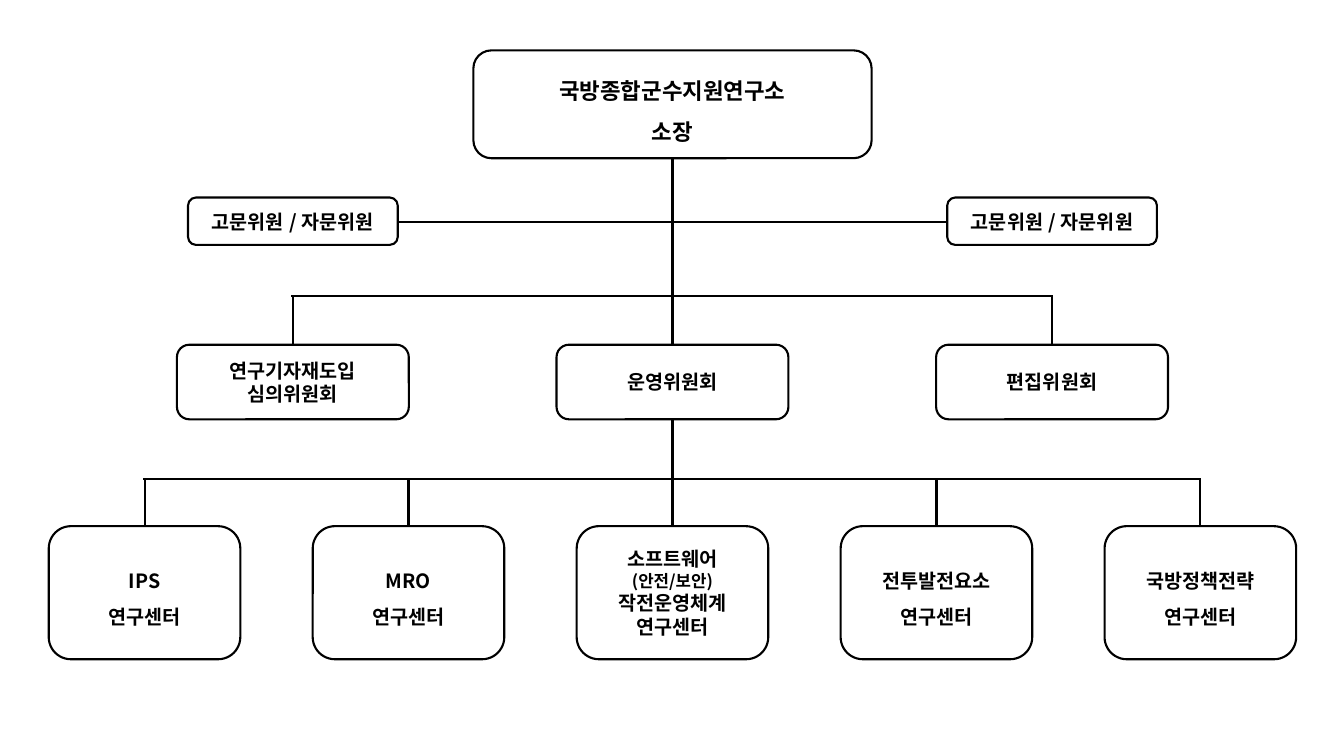
"""Build a one-slide organisation chart of a research institute."""
import copy

import lxml.etree
import pptx
import pptx.dml.color
import pptx.enum.lang
import pptx.enum.shapes
import pptx.enum.text
import pptx.oxml.ns
import pptx.util

COLORS = {"ink": "000000"}
FONT = "Noto Sans CJK KR"
CENTER = 6.67
COMMITTEE_GAP = 3.765
CENTER_GAP = 2.618


def write_text(paragraph, text, size=14, bold=True, color="ink"):
    for index, line in enumerate(text.split("\n")):
        if index:
            paragraph.add_line_break()
            paragraph._p[-1].append(copy.deepcopy(run._r.rPr))
        if not line:
            continue
        run = paragraph.add_run()
        run.text = line
        run.font.name = FONT
        run.font.size = pptx.util.Pt(size)
        run.font.bold = bold
        run.font.color.rgb = pptx.dml.color.RGBColor.from_string(COLORS[color])
        run.font.language_id = pptx.enum.lang.MSO_LANGUAGE_ID.KOREAN
        east_asian = lxml.etree.SubElement(run._r.rPr, pptx.oxml.ns.qn("a:ea"))
        east_asian.set("typeface", FONT)


class Chart:
    def __init__(self, slide, line_width=1.5):
        self.slide = slide
        self.line_width = line_width

    def style_line(self, line):
        line.color.rgb = pptx.dml.color.RGBColor.from_string(COLORS["ink"])
        line.width = pptx.util.Pt(self.line_width)

    def box(self, center, top, width, height, parts, spacing=None):
        shape = self.slide.shapes.add_shape(
            pptx.enum.shapes.MSO_SHAPE.ROUNDED_RECTANGLE,
            pptx.util.Inches(center - width / 2), pptx.util.Inches(top),
            pptx.util.Inches(width), pptx.util.Inches(height))
        shape.shadow.inherit = False
        shape.fill.background()
        self.style_line(shape.line)
        frame = shape.text_frame
        frame.word_wrap = True
        frame.vertical_anchor = pptx.enum.text.MSO_ANCHOR.MIDDLE
        paragraph = frame.paragraphs[0]
        paragraph.alignment = pptx.enum.text.PP_ALIGN.CENTER
        if spacing:
            paragraph.line_spacing = spacing
        for text, size in parts:
            write_text(paragraph, text, size=size)

    def line(self, start_x, start_y, end_x, end_y):
        connector = self.slide.shapes.add_connector(
            pptx.enum.shapes.MSO_CONNECTOR.STRAIGHT,
            pptx.util.Inches(start_x), pptx.util.Inches(start_y),
            pptx.util.Inches(end_x), pptx.util.Inches(end_y))
        self.style_line(connector.line)
        properties = connector._element.spPr
        lxml.etree.SubElement(properties, pptx.oxml.ns.qn("a:effectLst"))


def main():
    presentation = pptx.Presentation()
    presentation.slide_width = pptx.util.Inches(13.33)
    presentation.slide_height = pptx.util.Inches(7.5)
    chart = Chart(presentation.slides.add_slide(presentation.slide_layouts[6]))

    chart.box(CENTER, 0.5, 3.95, 1.07,
              [("국방종합군수지원연구소\n소장", 16)], spacing=1.5)
    chart.line(CENTER, 1.57, CENTER, 3.42)

    for side in (-1, 1):
        chart.box(CENTER + side * COMMITTEE_GAP, 1.96, 2.08, 0.47,
                  [("고문위원 / 자문위원", 14)])
    chart.line(3.94, 2.2, 9.39, 2.2)

    committees = ["연구기자재도입\n심의위원회", "운영위원회", "편집위원회"]
    for position, name in enumerate(committees, start=-1):
        center = CENTER + position * COMMITTEE_GAP
        chart.box(center, 3.42, 2.3, 0.74, [(name, 14)])
        if position:
            chart.line(center, 3.42, center, 2.94)
    chart.line(2.89, 2.94, 10.44, 2.94)

    software = [("소프트웨어 ", 14), ("(안전/보안)\n", 12),
                ("작전운영체계\n연구센터", 14)]
    research_centers = [
        ([("IPS\n연구센터", 14)], 1.5),
        ([("MRO\n연구센터", 14)], 1.5),
        (software, None),
        ([("전투발전요소\n연구센터", 14)], 1.5),
        ([("국방정책전략\n연구센터", 14)], 1.5),
    ]
    for position, (parts, spacing) in enumerate(research_centers, start=-2):
        center = CENTER + position * CENTER_GAP
        chart.box(center, 5.22, 1.9, 1.32, parts, spacing)
        chart.line(center, 5.22, center, 4.75 if position else 4.16)
    chart.line(1.42, 4.75, 11.91, 4.75)

    presentation.save("out.pptx")


if __name__ == "__main__":
    main()
